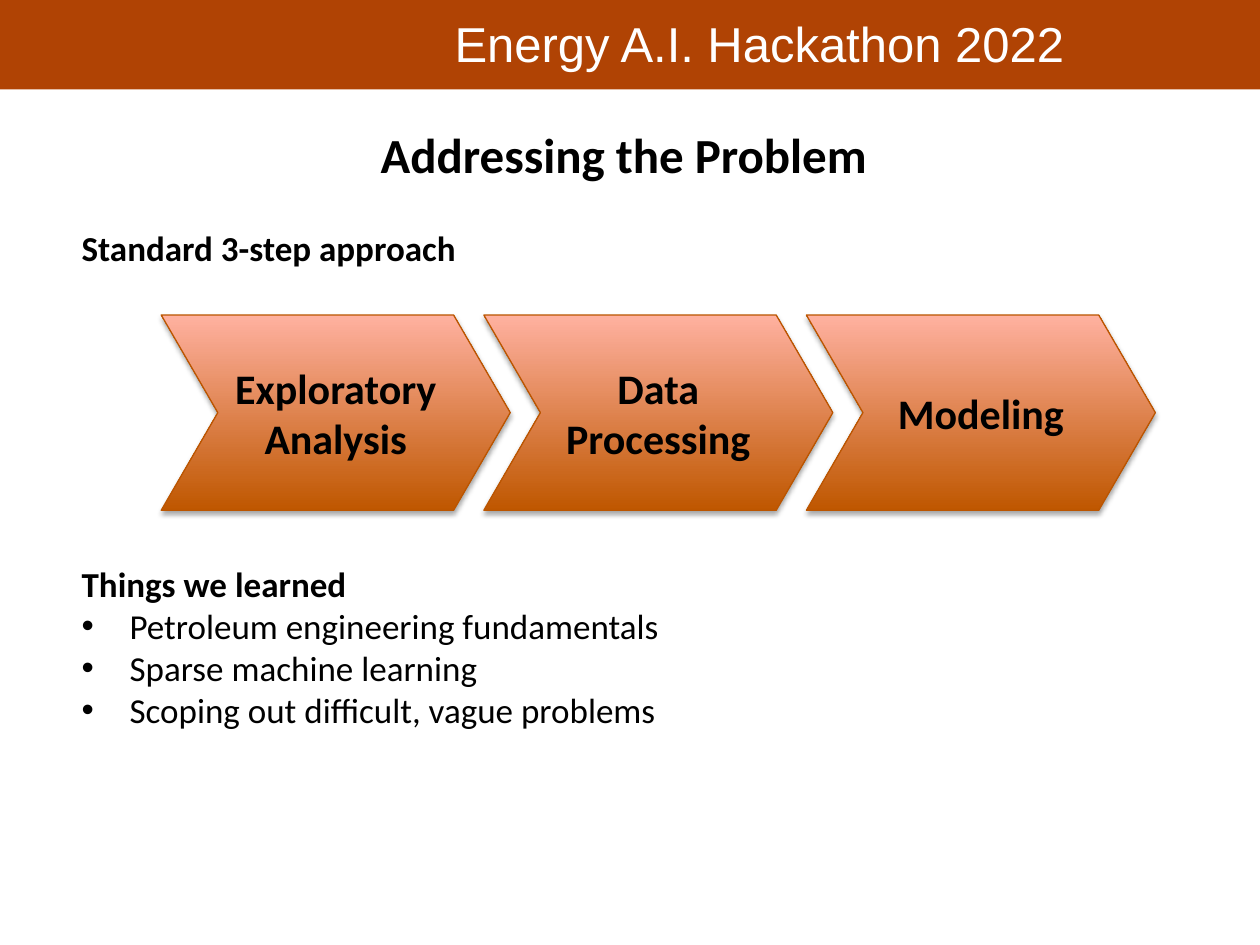
from dataclasses import dataclass

from lxml import etree
from pptx import Presentation
from pptx.dml.color import RGBColor
from pptx.enum.shapes import MSO_SHAPE
from pptx.enum.text import MSO_ANCHOR, MSO_AUTO_SIZE, PP_ALIGN
from pptx.oxml.ns import qn
from pptx.util import Inches, Pt

RECT, CHEVRON = MSO_SHAPE.RECTANGLE, MSO_SHAPE.CHEVRON
LEFT, CENTER = PP_ALIGN.LEFT, PP_ALIGN.CENTER
TOP, MIDDLE = MSO_ANCHOR.TOP, MSO_ANCHOR.MIDDLE
NO_FIT = MSO_AUTO_SIZE.NONE


@dataclass(frozen=True)
class Theme:
    font: str = "Calibri"
    brand: str = "Arial"
    band: str = "B04304"
    dark: str = "BF5700"
    light: str = "FFB1A0"
    edge: str = "BB5500"
    ink: str = "000000"
    white: str = "FFFFFF"
    head: int = 28
    step: int = 24
    body: int = 20


@dataclass(frozen=True)
class Step:
    text: str
    left: float


THEME = Theme()
START, PITCH = 1.28, 2.56
NAMES = ["Exploratory Analysis", "Data Processing", "Modeling"]
STEPS = [Step(name, START + i * PITCH) for i, name in enumerate(NAMES)]
LEARNED = [
    "Petroleum engineering fundamentals",
    "Sparse machine learning",
    "Scoping out difficult, vague problems",
]


def rgb(code: str) -> RGBColor:
    return RGBColor.from_string(code)


def box(left: float, top: float, width: float, height: float) -> tuple:
    return Inches(left), Inches(top), Inches(width), Inches(height)


def write(frame, text: str, *, size: int = THEME.body, font: str = THEME.font,
          color: str = THEME.ink, bold: bool = False, align=LEFT,
          before: int = 0, bullet: bool = False) -> None:
    """Fill the first paragraph of the frame, or add one after it."""
    para = frame.add_paragraph() if frame.text else frame.paragraphs[0]
    para.alignment = align
    para.space_before = Pt(before)
    run = para.add_run()
    run.text = text
    run.font.size, run.font.name, run.font.bold = Pt(size), font, bold
    run.font.color.rgb = rgb(color)
    if bullet:
        props = para._p.get_or_add_pPr()
        props.set("marL", str(Inches(0.38)))
        props.set("indent", str(-Inches(0.38)))
        etree.SubElement(props, qn("a:buFont"), typeface="Arial")
        etree.SubElement(props, qn("a:buChar"), char="•")


def add_text(slide, place: tuple):
    frame = slide.shapes.add_textbox(*place).text_frame
    frame.word_wrap = True
    return frame


def add_shadow(shape) -> None:
    shape.shadow.inherit = False
    effects = shape._element.spPr.find(qn("a:effectLst"))
    outer = etree.SubElement(effects, qn("a:outerShdw"), blurRad=str(Pt(3.1)),
                             dist=str(Pt(1.8)), dir="5400000", rotWithShape="0")
    color = etree.SubElement(outer, qn("a:srgbClr"), val=THEME.ink)
    etree.SubElement(color, qn("a:alpha"), val="35000")


def add_step(slide, step: Step) -> None:
    shape = slide.shapes.add_shape(CHEVRON, *box(step.left, 2.5, 2.77, 1.55))
    shape.adjustments[0] = 0.29
    shape.fill.gradient()
    shape.fill.gradient_angle = 90
    for stop, code in zip(shape.fill.gradient_stops, (THEME.dark, THEME.light)):
        stop.color.rgb = rgb(code)
    shape.line.color.rgb = rgb(THEME.edge)
    shape.line.width = Pt(0.75)
    add_shadow(shape)
    shape.text_frame.vertical_anchor = MIDDLE
    write(shape.text_frame, step.text, size=THEME.step, bold=True, align=CENTER)


def main() -> None:
    deck = Presentation()
    deck.slide_width, deck.slide_height = Inches(10), Inches(7.5)
    slide = deck.slides.add_slide(deck.slide_layouts[5])

    # Banner
    band = slide.shapes.add_shape(RECT, *box(0, -0.01, 10, 0.72))
    band.shadow.inherit = False
    band.fill.solid()
    band.fill.fore_color.rgb = rgb(THEME.band)
    band.line.fill.background()
    write(add_text(slide, box(3.51, 0.06, 5.1, 0.57)), "Energy A.I. Hackathon 2022",
          size=THEME.head, font=THEME.brand, color=THEME.white)

    # Title
    title = slide.shapes.title
    title.left, title.top, title.width, title.height = box(0.55, 0.94, 8.8, 0.57)
    title.text_frame.auto_size = NO_FIT
    title.text_frame.vertical_anchor = TOP
    write(title.text_frame, "Addressing the Problem", size=THEME.head, bold=True,
          align=CENTER)

    # Body, with room for the steps between its two headings
    body = add_text(slide, box(0.55, 1.75, 8.8, 4.78))
    write(body, "Standard 3-step approach", bold=True)
    write(body, "Things we learned", bold=True, before=168)
    for item in LEARNED:
        write(body, item, bullet=True)

    # Steps
    for step in STEPS:
        add_step(slide, step)

    deck.save("out.pptx")


if __name__ == "__main__":
    main()
